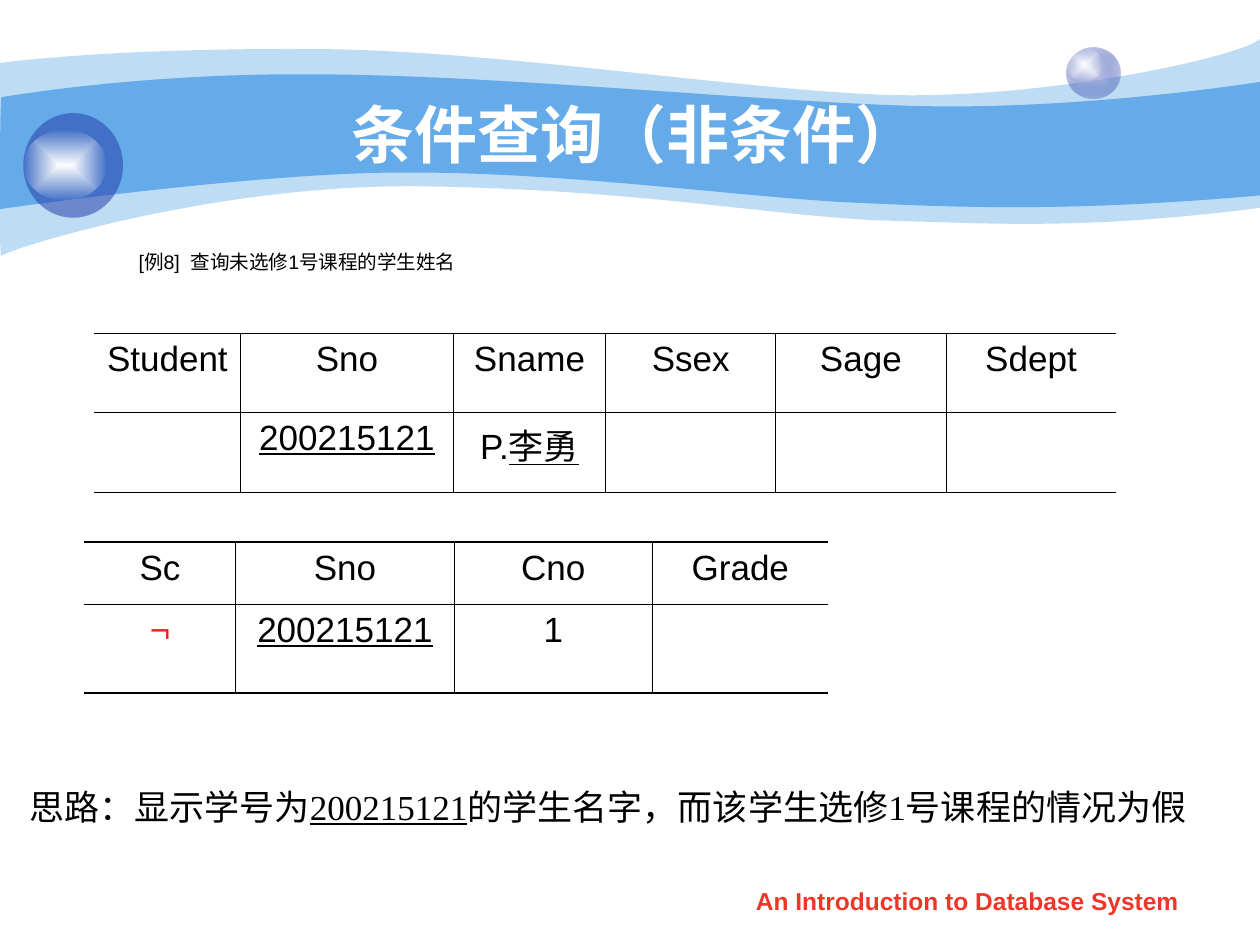
import pptx
import pptx.util
import pptx.dml.color
import pptx.enum.shapes
import pptx.enum.text
import pptx.oxml
from pptx.oxml.ns import nsdecls, qn

Cm, Pt = pptx.util.Cm, pptx.util.Pt
ALIGN = pptx.enum.text.PP_ALIGN

COLORS = {"sky": "65AAE9", "navy": "233DA9", "mist": "C6CCE8", "white": "FFFFFF",
          "glow": "FEFEFE", "black": "000000", "not": "E02920", "footer": "F03628"}

# Content; text between underscores is underlined
TITLE = "条件查询（非条件）"
EXAMPLE = "[例8]  查询未选修1号课程的学生姓名"
IDEA = "思路：显示学号为_200215121_的学生名字，而该学生选修1号课程的情况为假"
FOOTER = "An Introduction to Database System"
TABLES = [
    {"at": (1.9, 6.72), "cols": [2.95, 4.29, 3.07, 3.43, 3.43, 3.43], "rows": [1.59, 1.62],
     "cells": [["Student", "Sno", "Sname", "Ssex", "Sage", "Sdept"],
               ["", "_200215121_", "P._李勇_", "", "", ""]]},
    {"at": (1.7, 10.93), "cols": [3.05, 4.41, 3.99, 3.55], "rows": [1.25, 1.79],
     "cells": [["Sc", "Sno", "Cno", "Grade"],
               ["¬", "_200215121_", "1", ""]]},
]

# Waves in cm: a start, then curves (two handles and an end) or line ends
WAVES = [
    (41, (0, 1.27), [
        [(0.61, 1.19), (2.72, 0.97), (6.27, 0.99)],
        [(9.8, 0.99), (14.61, 1.78), (17.75, 1.91)],
        [(20.88, 2.03), (24.89, 1.19), (25.4, 0.79)],
        [(25.4, 4.19)],
        [(21.79, 4.65), (19.99, 4.5), (17.91, 4.45)],
        [(15.8, 4.39), (13.08, 3.84), (8.71, 3.76)],
        [(4.37, 3.66), (0.1, 5.05), (0.03, 5.16)],
        [(-0.03, 5.28), (0, 1.91), (0, 1.27)]]),
    (100, (0.03, 1.96), [
        [(0.05, 1.96), (2.79, 1.47), (6.3, 1.5)],
        [(9.8, 1.5), (15.11, 2.03), (18.24, 2.13)],
        [(21.36, 2.24), (24.79, 1.75), (25.4, 1.65)],
        [(25.4, 3.94)],
        [(21.67, 4.27), (19.43, 4.19), (17.32, 4.09)],
        [(15.21, 4.01), (11.35, 3.45), (8.05, 3.48)],
        [(5.16, 3.48), (-0.05, 4.22), (-0.03, 4.22)],
        [(0, 4.22), (0, 1.96), (0.03, 1.96)]]),
]

# Balls: each a body and a highlight, as box in cm and (colour, opacity) stops
SHINE = [("white", 100), ("glow", 0)]
BALLS = [
    [((21.51, 0.96, 1.07, 1.02), [("mist", 100), ("navy", 31)]),
     ((21.51, 0.96, 0.71, 0.69), SHINE)],
    [((0.47, 2.28, 2.01, 2.11), [("navy", 53)]),
     ((0.47, 2.62, 1.68, 1.42), SHINE)],
]


def rgb(name):
    return pptx.dml.color.RGBColor.from_string(COLORS[name])


def paint(shape, stops):
    """Fill with one colour, or with a gradient spreading from the centre."""
    inks = [f'<a:srgbClr val="{COLORS[name]}"><a:alpha val="{opacity * 1000}"/></a:srgbClr>'
            for name, opacity in stops]
    if len(inks) == 1:
        xml = f'<a:solidFill {nsdecls("a")}>{inks[0]}</a:solidFill>'
    else:
        xml = (f'<a:gradFill {nsdecls("a")}><a:gsLst><a:gs pos="0">{inks[0]}</a:gs>'
               f'<a:gs pos="100000">{inks[1]}</a:gs></a:gsLst><a:path path="rect">'
               '<a:fillToRect l="50000" t="50000" r="50000" b="50000"/></a:path></a:gradFill>')
    shape.element.spPr.insert(2, pptx.oxml.parse_xml(xml))
    shape.line.fill.background()
    shape.shadow.inherit = False


def draw_wave(slide, start, segments):
    """Outline through the segment ends, then bend the curved segments."""
    outline = slide.shapes.build_freeform(*map(Cm, start), scale=1.0)
    outline.add_line_segments([tuple(map(Cm, segment[-1])) for segment in segments])
    wave = outline.convert_to_shape()
    for side, segment in zip(list(wave.element.iter(qn("a:lnTo"))), segments):
        if len(segment) == 3:
            points = "".join(f'<a:pt x="{Cm(x) - wave.left}" y="{Cm(y) - wave.top}"/>'
                             for x, y in segment)
            side.getparent().replace(side, pptx.oxml.parse_xml(
                f'<a:cubicBezTo {nsdecls("a")}>{points}</a:cubicBezTo>'))
    return wave


def write(paragraph, text, size, color="black", font="Arial", bold=False, align=None):
    for index, part in enumerate(text.split("_")):
        if part:
            run = paragraph.add_run()
            run.text = part
            if index % 2:
                run.font.underline = True
    paragraph.alignment = align
    paragraph.space_before = Pt(0)
    paragraph.font.size = Pt(size)
    paragraph.font.name = font
    paragraph.font.bold = bold
    paragraph.font.color.rgb = rgb(color)


def place(shape, left, top, width, height):
    shape.left, shape.top, shape.width, shape.height = map(Cm, (left, top, width, height))


def rule_cell(cell, widths):
    """Border widths in points for left, right, top, bottom; 0 is no line."""
    properties = cell._tc.get_or_add_tcPr()
    for index, (side, width) in enumerate(zip("LRTB", widths)):
        ink = f'<a:solidFill><a:srgbClr val="{COLORS["black"]}"/></a:solidFill>' if width else "<a:noFill/>"
        properties.insert(index, pptx.oxml.parse_xml(
            f'<a:ln{side} {nsdecls("a")} w="{int(Pt(width))}">{ink}</a:ln{side}>'))


def draw_table(slide, at, cols, rows, cells):
    frame = slide.shapes.add_table(len(rows), len(cols), *map(Cm, (*at, sum(cols), sum(rows))))
    table = frame.table
    table.first_row = table.horz_banding = False
    for column, width in zip(table.columns, cols):
        column.width = Cm(width)
    for r, (height, texts) in enumerate(zip(rows, cells)):
        table.rows[r].height = Cm(height)
        for c, text in enumerate(texts):
            cell = table.cell(r, c)
            cell.fill.background()
            rule_cell(cell, (0.45 if c else 0, 0.45 if c < len(cols) - 1 else 0,
                             0.45 if r else 1.08, 1.08 if r == len(rows) - 1 else 0.45))
            if text:
                write(cell.text_frame.paragraphs[0], text, 20,
                      color="not" if text == "¬" else "black", align=ALIGN.CENTER)


def main():
    deck = pptx.Presentation()
    deck.slide_width, deck.slide_height = Cm(25.4), Cm(19.05)
    slide = deck.slides.add_slide(deck.slide_layouts[1])
    title, example = slide.placeholders

    # Wave banner
    for opacity, start, segments in WAVES:
        paint(draw_wave(slide, start, segments), [("sky", opacity)])

    # Glossy balls
    for ball in BALLS:
        group = slide.shapes.add_group_shape()
        for box, stops in ball:
            paint(group.shapes.add_shape(pptx.enum.shapes.MSO_SHAPE.OVAL, *map(Cm, box)), stops)

    # Title and example, in front of the banner
    for holder in (title, example):
        holder.element.getparent().append(holder.element)
        holder.text_frame.auto_size = pptx.enum.text.MSO_AUTO_SIZE.NONE
    place(title, 2.54, 1.9, 20.52, 1.58)
    title.text_frame.vertical_anchor = pptx.enum.text.MSO_ANCHOR.MIDDLE
    write(title.text_frame.paragraphs[0], TITLE, 36, "white", bold=True, align=ALIGN.CENTER)

    place(example, 1.27, 5.08, 22.63, 2.64)
    question = example.text_frame.paragraphs[0]
    question.level = 1
    question.line_spacing = 0.6
    layout = question._p.get_or_add_pPr()
    layout.set("marL", str(Cm(2.06)))
    layout.set("indent", str(Cm(-0.79)))
    layout.append(pptx.oxml.parse_xml(f'<a:buNone {nsdecls("a")}/>'))
    write(question, EXAMPLE, 11.2, align=ALIGN.JUSTIFY)

    # Query tables
    for table in TABLES:
        draw_table(slide, **table)

    # Idea and footer
    idea = slide.shapes.add_textbox(*map(Cm, (0.34, 15.54, 24.51, 1.27))).text_frame
    idea.word_wrap = False
    idea.paragraphs[0].line_spacing = 1.2
    write(idea.paragraphs[0], IDEA, 20, font="Times New Roman")
    footer = slide.shapes.add_textbox(*map(Cm, (14.5, 17.73, 10.01, 0.89))).text_frame
    footer.word_wrap = True
    write(footer.paragraphs[0], FOOTER, 14, "footer", bold=True, align=ALIGN.CENTER)

    deck.save("out.pptx")


if __name__ == "__main__":
    main()
